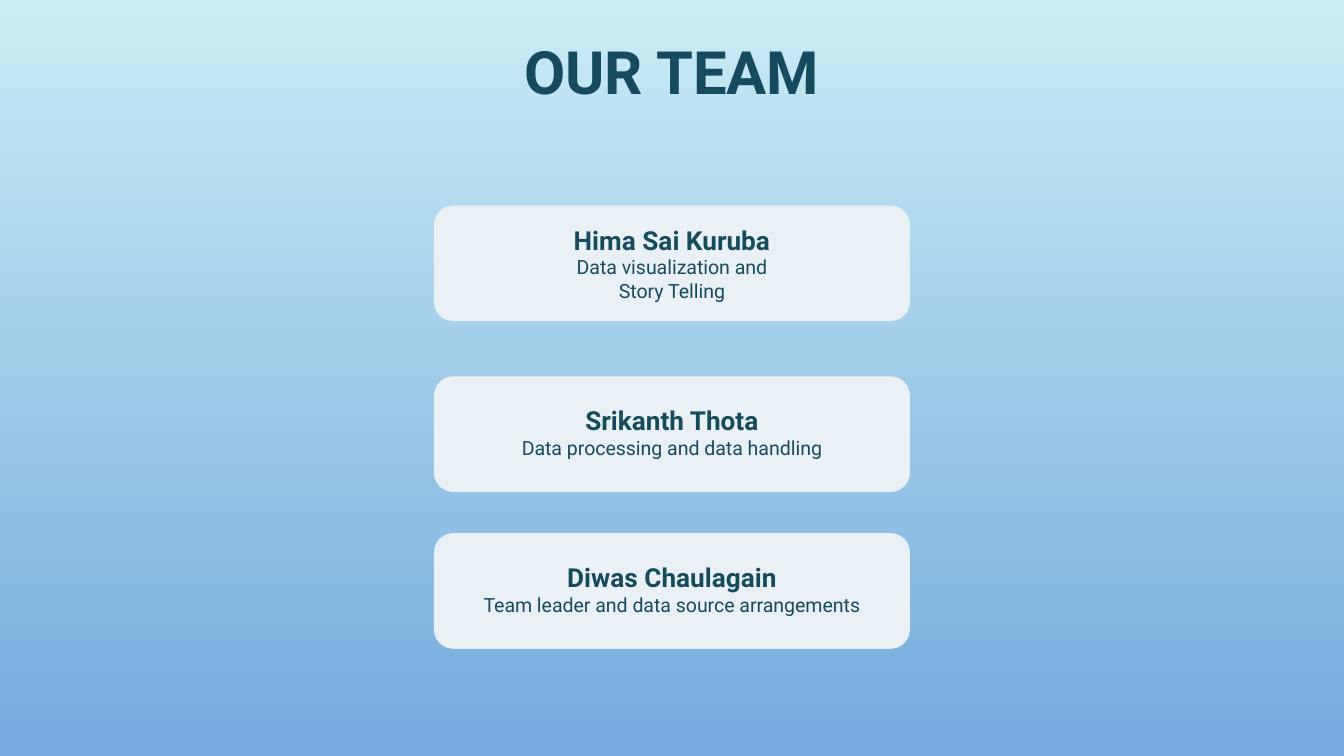
from pptx import Presentation
from pptx.dml.color import RGBColor
from pptx.enum.shapes import MSO_SHAPE as Shape
from pptx.enum.text import MSO_ANCHOR as Anchor, PP_ALIGN as Align
from pptx.util import Pt

TITLE = "OUR TEAM"
TEAM = [
    {"name": "Hima Sai Kuruba", "role": ["Data visualization and", "Story Telling"],
     "card_top": 110, "text_middle": 141},
    {"name": "Srikanth Thota", "role": ["Data processing and data handling"],
     "card_top": 201.6, "text_middle": 231.2},
    {"name": "Diwas Chaulagain", "role": ["Team leader and data source arrangements"],
     "card_top": 285.6, "text_middle": 315.3},
]
COLORS = {"sky": "CBECF5", "sea": "73ABDD", "card": "EAF1F6", "ink": "154B5C"}
FONT = "Roboto"
SLIDE_W, SLIDE_H = 720, 405
CARD_W, CARD_H = 255, 62
TEXT_W, TEXT_H = 270.8, 129.6


def color(key):
    return RGBColor.from_string(COLORS[key])


def add_text(slide, left, top, width, height, lines, spacing=None):
    box = slide.shapes.add_textbox(Pt(left), Pt(top), Pt(width), Pt(height))
    frame = box.text_frame
    frame.word_wrap = True
    frame.vertical_anchor = Anchor.MIDDLE
    frame.margin_left = frame.margin_right = 0
    frame.margin_top = frame.margin_bottom = 0
    frame.text = "\n".join(words for words, _, _ in lines)
    for paragraph, (_, size, bold) in zip(frame.paragraphs, lines):
        paragraph.alignment = Align.CENTER
        paragraph.line_spacing = spacing
        font = paragraph.font
        font.name, font.size, font.bold = FONT, Pt(size), bold
        font.color.rgb = color("ink")


def add_card(slide, top):
    card = slide.shapes.add_shape(
        Shape.ROUNDED_RECTANGLE,
        Pt((SLIDE_W - CARD_W) / 2), Pt(top), Pt(CARD_W), Pt(CARD_H))
    card.shadow.inherit = False
    card.fill.solid()
    card.fill.fore_color.rgb = color("card")
    card.line.fill.background()


deck = Presentation()
deck.slide_width, deck.slide_height = Pt(SLIDE_W), Pt(SLIDE_H)
slide = deck.slides.add_slide(deck.slide_layouts[6])

backdrop = slide.background.fill
backdrop.gradient()
backdrop.gradient_angle = 270
for stop, key in zip(backdrop.gradient_stops, ("sky", "sea")):
    stop.color.rgb = color(key)

for member in TEAM:
    add_card(slide, member["card_top"])

add_text(slide, 30.5, 20.6, 659, 39, [(TITLE, 32, True)], spacing=0.9)
for member in TEAM:
    lines = [(member["name"], 14, True)]
    lines += [(line, 10.5, False) for line in member["role"]]
    add_text(slide, (SLIDE_W - TEXT_W) / 2, member["text_middle"] - TEXT_H / 2,
             TEXT_W, TEXT_H, lines)

deck.save("out.pptx")
